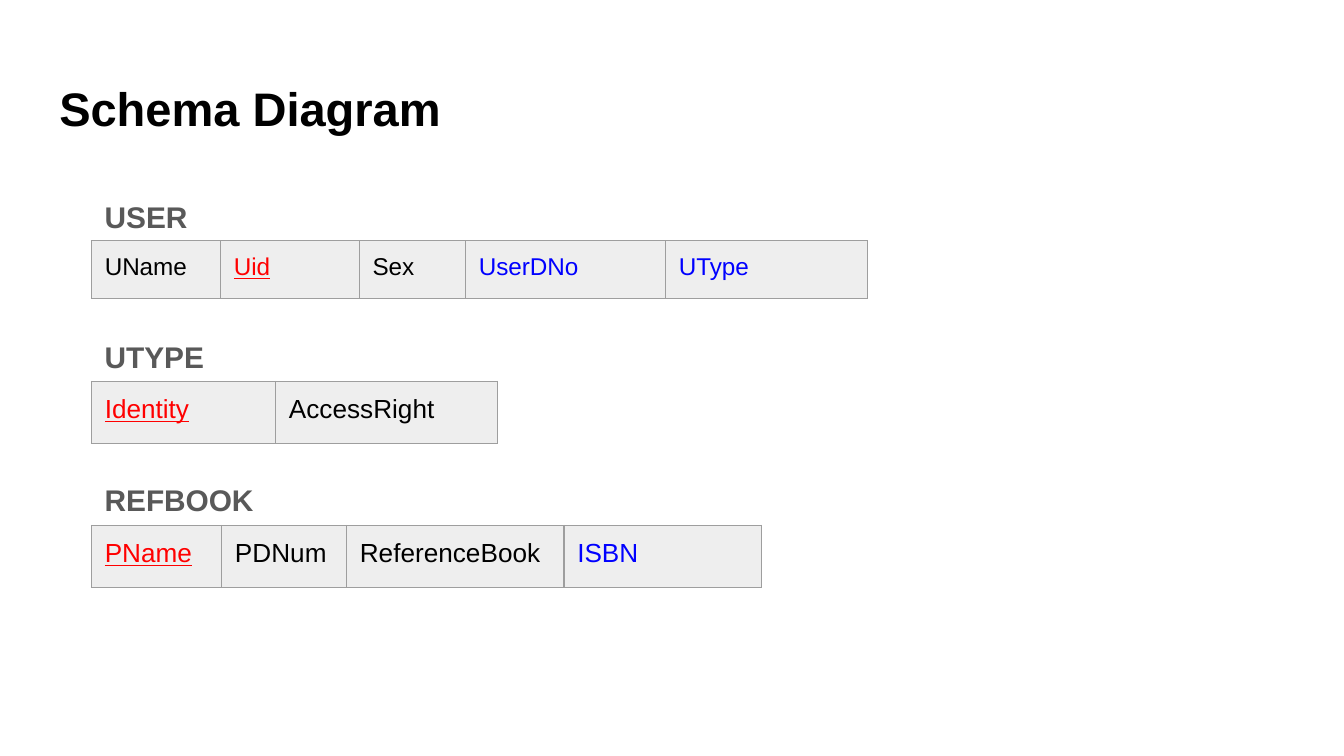
from dataclasses import dataclass

from lxml.etree import SubElement
from pptx import Presentation
from pptx.dml.color import RGBColor as Color
from pptx.enum.text import MSO_ANCHOR as Anchor, MSO_AUTO_SIZE as AutoSize, PP_ALIGN as Align
from pptx.oxml.ns import qn
from pptx.util import Cm, Pt


@dataclass(frozen=True)
class Theme:
    font: str = "Arial"
    title: str = "000000"
    label: str = "595959"
    plain: str = "000000"
    primary: str = "FF0000"
    foreign: str = "0000FF"
    cell: str = "EEEEEE"
    border: str = "9E9E9E"
    border_width: float = 0.75
    title_size: float = 25.2
    label_size: float = 16


@dataclass(frozen=True)
class Box:
    left: float
    top: float
    width: float
    height: float

    def place(self):
        return Cm(self.left), Cm(self.top), Cm(self.width), Cm(self.height)


@dataclass(frozen=True)
class Relation:
    name: str
    label_width: float
    top: float
    height: float
    row_height: float
    size: float
    fields: tuple


THEME = Theme()
INSET = 0.25
LABEL_HEIGHT = 0.91
RELATIONS_LEFT = 1.73

RELATIONS = (
    Relation("USER", 2.08, 3.68, 1.96, 1.09, 13, (
        ("UName", "plain", 2.44), ("Uid", "primary", 2.62), ("Sex", "plain", 2.01),
        ("UserDNo", "foreign", 3.78), ("UType", "foreign", 3.81))),
    Relation("UTYPE", 2.41, 6.32, 2.06, 1.17, 14, (
        ("Identity", "primary", 3.48), ("AccessRight", "plain", 4.19))),
    Relation("REFBOOK", 3.35, 9.02, 2.08, 1.17, 14, (
        ("PName", "primary", 2.46), ("PDNum", "plain", 2.36),
        ("ReferenceBook", "plain", 4.11), ("ISBN", "foreign", 3.73))),
)


def write(frame, text, *, size, color, bold=False, underline=False, spacing=1.0):
    para = frame.paragraphs[0]
    para.alignment = Align.LEFT
    para.line_spacing = spacing
    span = para.add_run()
    span.text = text
    span.font.name = THEME.font
    span.font.size = Pt(size)
    span.font.bold = bold
    span.font.underline = underline
    span.font.color.rgb = Color.from_string(color)


def set_margins(target):
    target.margin_left = target.margin_right = Cm(INSET)
    target.margin_top = target.margin_bottom = Cm(INSET)


def add_borders(cell):
    properties = cell._tc.get_or_add_tcPr()
    for index, side in enumerate(("lnL", "lnR", "lnT", "lnB")):
        line = SubElement(properties, qn(f"a:{side}"), w=str(Pt(THEME.border_width)))
        fill = SubElement(line, qn("a:solidFill"))
        SubElement(fill, qn("a:srgbClr"), val=THEME.border)
        properties.insert(index, line)


def place_title(slide, box, text):
    title = slide.shapes.title
    title.left, title.top, title.width, title.height = box.place()
    frame = title.text_frame
    frame.auto_size = AutoSize.NONE
    frame.vertical_anchor = Anchor.MIDDLE
    set_margins(frame)
    write(frame, text, size=THEME.title_size, color=THEME.title, bold=True)


def place_label(slide, box, text):
    frame = slide.shapes.add_textbox(*box.place()).text_frame
    frame.word_wrap = False
    frame.auto_size = AutoSize.SHAPE_TO_FIT_TEXT
    write(frame, text, size=THEME.label_size, color=THEME.label, bold=True, spacing=0.95)


def place_fields(slide, box, relation):
    table = slide.shapes.add_table(1, len(relation.fields), *box.place()).table
    table.first_row = table.horz_banding = False
    for index, (name, role, width) in enumerate(relation.fields):
        table.columns[index].width = Cm(width)
        cell = table.cell(0, index)
        set_margins(cell)
        cell.fill.solid()
        cell.fill.fore_color.rgb = Color.from_string(THEME.cell)
        add_borders(cell)
        write(cell.text_frame, name, size=relation.size, color=getattr(THEME, role),
              underline=role == "primary")


def place_relation(slide, box, relation):
    row_top = box.top + box.height - relation.row_height
    place_fields(slide, Box(box.left, row_top, box.width, relation.row_height), relation)
    place_label(slide, Box(box.left, box.top, relation.label_width, LABEL_HEIGHT), relation.name)


def main():
    deck = Presentation()
    deck.slide_width, deck.slide_height = Cm(25.4), Cm(14.29)
    slide = deck.slides.add_slide(deck.slide_layouts[5])
    place_title(slide, Box(0.87, 1.24, 23.67, 1.6), "Schema Diagram")
    for relation in RELATIONS:
        width = sum(field[2] for field in relation.fields)
        place_relation(slide, Box(RELATIONS_LEFT, relation.top, width, relation.height), relation)
    deck.save("out.pptx")


if __name__ == "__main__":
    main()
